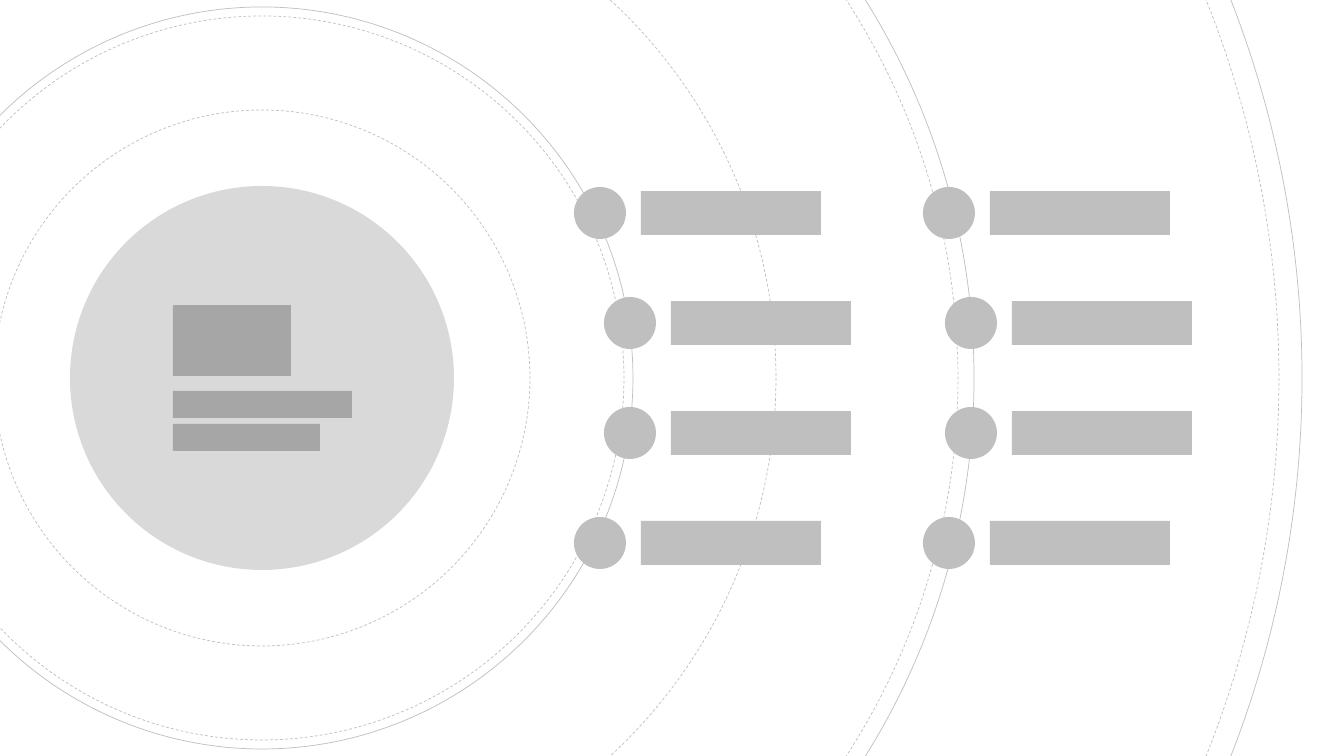
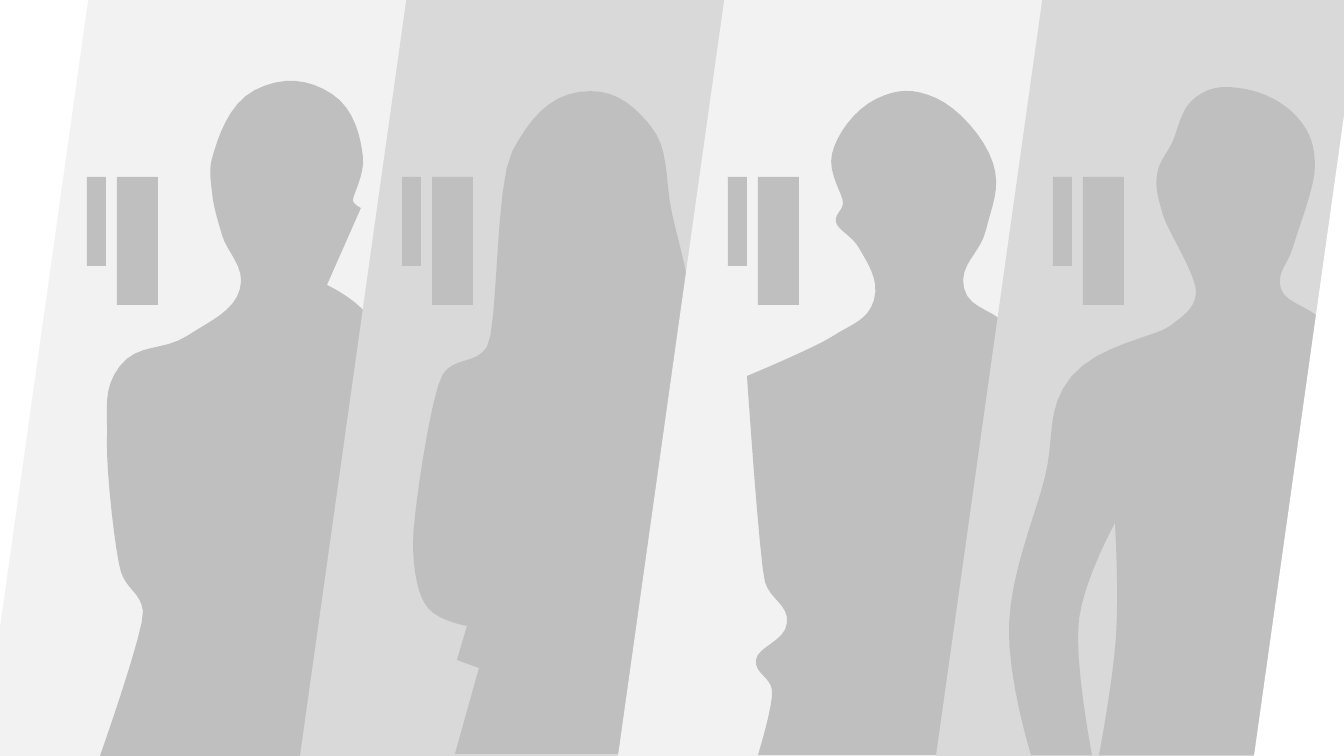
from pptx import Presentation
from pptx import util as u
from pptx.dml.color import RGBColor
from pptx.enum import dml, shapes

PX = 914400 / 100.8
WIDTH, HEIGHT = 1344, 756
COLOURS = {"white": "FFFFFF", "pale": "F2F2F2", "light": "D9D9D9", "mid": "BFBFBF", "dark": "A6A6A6"}

# Rings slide: everything is centred on one point
CENTRE = (262, 378)
DISC_RADIUS = 192
DASHED_RADII = (268, 362, 514, 696, 1017)
SOLID_RADII = (371, 712, 1040)
TITLE_BLOCKS = [(173, 305, 118, 71), (173, 391, 179, 27), (173, 424, 147, 27)]
ENTRY_COLUMNS = [(600, 630), (949, 971)]  # dot centres: outer rows, inner rows
ENTRY_STEP = 110
DOT_RADIUS = 26
LABEL_GAP, LABEL_WIDTH, LABEL_HEIGHT = 41, 180, 44

# People slide: slanted panels, each with a figure and two upright bars
PANEL_LEFT, PANEL_STEP, PANEL_WIDTH = -18, 318, 425
PANEL_FILLS = ("pale", "light", "pale", "light")
PANEL_OVERLAP = 12
BAR_LEFTS = (87, 402, 728, 1053)
BAR_TOP = 177
BARS = [(0, 19, 89), (30, 41, 128)]  # offset, width, height
FIGURES = [
    [(100, 756), (143, 611), (121, 572), (107, 440), (120, 366), (187, 336), (240, 289), (222, 235),
     (212, 192), (213, 155), (255, 90), (332, 94), (363, 157), (353, 201), (361, 208), (327, 285),
     (374, 326)],
    [(455, 754), (479, 668), (457, 660), (467, 626), (428, 608), (413, 545), (443, 374), (487, 347),
     (512, 152), (579, 92), (650, 125), (672, 213), (692, 325)],
    [(758, 755), (772, 690), (756, 660), (787, 623), (765, 582), (747, 376), (833, 336), (874, 300),
     (859, 248), (836, 222), (843, 203), (832, 154), (876, 99), (936, 98), (993, 163), (986, 230),
     (964, 288), (1010, 333)],
    [(1099, 755), (1116, 637), (1115, 523), (1079, 619), (1092, 755), (1031, 755), (1009, 625),
     (1045, 477), (1071, 377), (1170, 326), (1196, 294), (1163, 215), (1157, 175), (1172, 143),
     (1196, 97), (1245, 89), (1298, 118), (1315, 165), (1293, 247), (1281, 289), (1330, 332)],
]


def paint(shape, fill=None, line=None, dashed=False):
    shape.shadow.inherit = False
    for part, colour in ((shape.fill, fill), (shape.line.fill, line)):
        if colour:
            part.solid()
            part.fore_color.rgb = RGBColor.from_string(COLOURS[colour])
        else:
            part.background()
    if line:
        shape.line.width = u.Pt(0.5)
    if dashed:
        shape.line.dash_style = dml.MSO_LINE.DASH


def add(parent, kind, left, top, width, height, **look):
    preset = getattr(shapes.MSO_SHAPE, kind)
    paint(parent.add_shape(preset, *(round(v * PX) for v in (left, top, width, height))), **look)


def add_circle(parent, x, y, radius, **look):
    add(parent, "OVAL", x - radius, y - radius, 2 * radius, 2 * radius, **look)


def smooth_outline(corners, steps=8):
    """Round a closed outline with Bezier pieces, leaving turns beyond 70 degrees sharp."""
    points = [complex(*corner) for corner in corners]
    count = len(points)
    handles = []
    for i, point in enumerate(points):
        before, after = point - points[i - 1], points[(i + 1) % count] - point
        bend = before / abs(before) + after / abs(after)
        reach = min(abs(before), abs(after)) / 2.5
        handles.append(bend / abs(bend) * reach if abs(bend) > 1.64 else 0)
    outline = []
    for i, start in enumerate(points):
        following = (i + 1) % count
        end = points[following]
        first, second = start + handles[i], end - handles[following]
        for step in range(steps):
            t = step / steps
            s = 1 - t
            spot = s**3 * start + 3 * s * s * t * first + 3 * s * t * t * second + t**3 * end
            outline.append((round(spot.real * PX), round(spot.imag * PX)))
    return outline


def add_figure(parent, corners):
    outline = smooth_outline(corners)
    builder = parent.build_freeform(*outline[0])
    builder.add_line_segments(outline[1:], close=True)
    paint(builder.convert_to_shape(), fill="mid")


def build_rings(page):
    parent = page.shapes
    for radii, dashed in ((DASHED_RADII, True), (SOLID_RADII, False)):
        for radius in radii:
            add_circle(parent, *CENTRE, radius, line="mid", dashed=dashed)
    add_circle(parent, *CENTRE, DISC_RADIUS, fill="light")
    title = parent.add_group_shape().shapes
    for block in TITLE_BLOCKS:
        add(title, "RECTANGLE", *block, fill="dark")
    for outer, inner in ENTRY_COLUMNS:
        for row, x in enumerate((outer, inner, inner, outer)):
            y = CENTRE[1] + (row - 1.5) * ENTRY_STEP
            add_circle(parent, x, y, DOT_RADIUS, fill="mid")
            add(parent, "RECTANGLE", x + LABEL_GAP, y - LABEL_HEIGHT / 2,
                LABEL_WIDTH, LABEL_HEIGHT, fill="mid")


def build_people(page):
    parent = page.shapes

    def panel_left(index):
        return PANEL_LEFT + index * PANEL_STEP

    def add_panel(index, fill):
        add(parent, "PARALLELOGRAM", panel_left(index), 0, PANEL_WIDTH, HEIGHT, fill=fill)

    for index, (fill, corners) in enumerate(zip(PANEL_FILLS, FIGURES)):
        add_panel(index, fill)
        add_figure(parent, corners + [(panel_left(index + 1) + PANEL_OVERLAP, corners[0][1])])
    add_panel(len(FIGURES), "white")
    for left in BAR_LEFTS:
        for offset, width, height in BARS:
            add(parent, "RECTANGLE", left + offset, BAR_TOP, width, height, fill="mid")


def main():
    deck = Presentation()
    deck.slide_width, deck.slide_height = round(WIDTH * PX), round(HEIGHT * PX)
    for build in (build_rings, build_people):
        build(deck.slides.add_slide(deck.slide_layouts[6]))
    deck.save("out.pptx")


if __name__ == "__main__":
    main()
